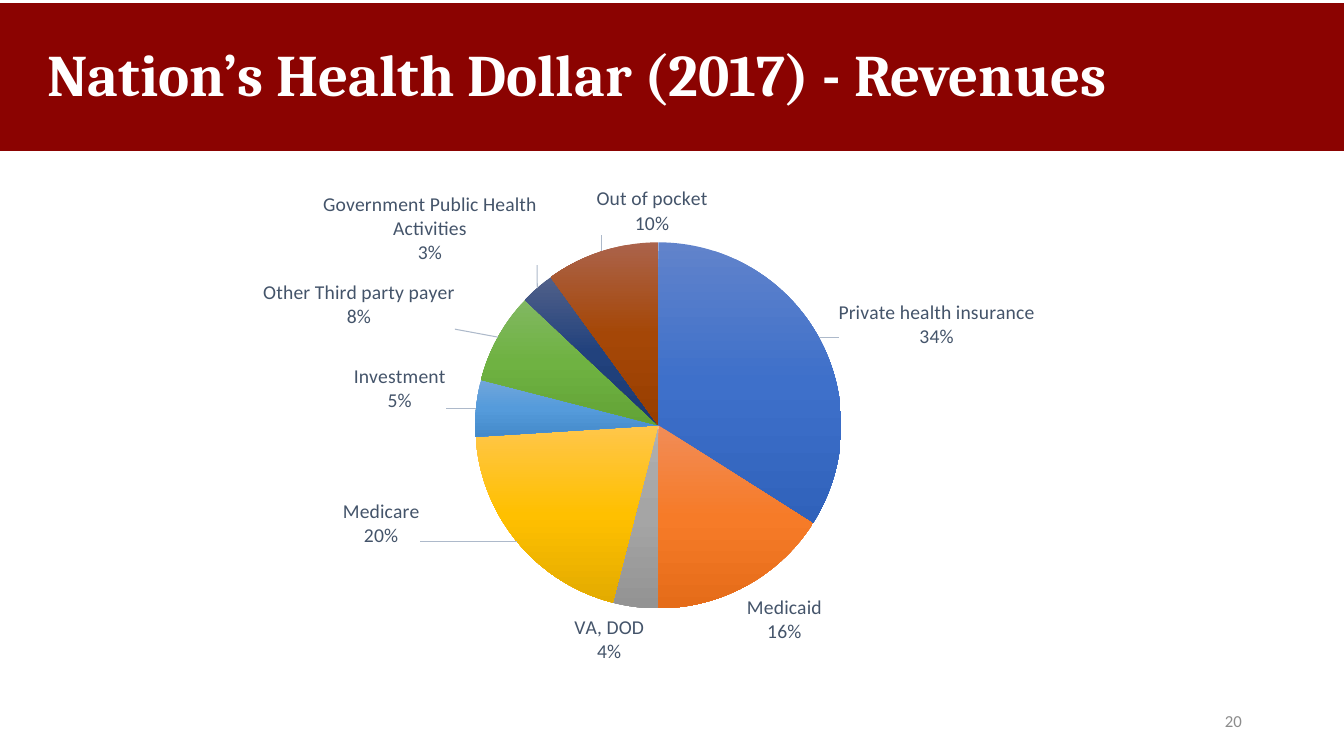
import copy

import pptx
import pptx.chart.data
import pptx.dml.color
import pptx.enum.chart
import pptx.enum.shapes
import pptx.enum.text
import pptx.oxml
import pptx.oxml.ns
import pptx.util
from pptx.util import Cm

# Payer, share, gradient from top to bottom, label shift as a fraction of the chart
SLICES = [
    ("Private health insurance", 34, ("6183CB", "3E70CA", "3062BB"), (0.012, 0.026)),
    ("Medicaid", 16, ("F18C57", "F67B28", "E56C19"), (-0.002, 0.008)),
    ("VA, DOD", 4, ("AFAFAF", "A5A5A5", "939393"), (0.008, 0.005)),
    ("Medicare", 20, ("FFC64B", "FFC000", "E3AB00"), (-0.076, -0.081)),
    ("Investment", 5, ("71A6DB", "559BDB", "448ACA"), (-0.02, 0.009)),
    ("Other Third party payer", 8, ("81B861", "6FB242", "62A336"), (-0.031, -0.009)),
    ("Government Public Health Activities", 3, ("516089", "22427D", "1A3A72"), (0.003, -0.032)),
    ("Out of pocket", 10, ("AB634B", "A54707", "983E00"), (0.088, -0.018)),
]
PLOT = {"x": 0.258, "y": 0.169, "w": 0.462, "h": 0.637}


def rgb(hex_color):
    return pptx.dml.color.RGBColor.from_string(hex_color)


def chart_xml(tag, content):
    ns = pptx.oxml.ns.nsdecls("c", "a")
    return pptx.oxml.parse_xml(f"<c:{tag} {ns}>{content}</c:{tag}>")


def style_font(font, name, size, color, bold=False):
    font.name = name
    font.size = pptx.util.Pt(size)
    font.color.rgb = rgb(color)
    font.bold = bold


def place(sp, left, top, width, height):
    sp.left, sp.top, sp.width, sp.height = Cm(left), Cm(top), Cm(width), Cm(height)


def write(sp, text, align, *font):
    tf = sp.text_frame
    tf.word_wrap = True
    tf.vertical_anchor = pptx.enum.text.MSO_ANCHOR.MIDDLE
    p = tf.paragraphs[0]
    p.alignment = align
    r = p.add_run()
    r.text = text
    style_font(r.font, *font)
    return p


def add_band(s, left, top, width, height, color):
    sp = s.shapes.add_shape(pptx.enum.shapes.MSO_SHAPE.RECTANGLE,
                            Cm(left), Cm(top), Cm(width), Cm(height))
    sp.shadow.inherit = False
    sp.fill.solid()
    sp.fill.fore_color.rgb = rgb(color)
    sp.line.color.rgb = rgb(color)
    sp.line.width = pptx.util.Pt(1)
    s.shapes._spTree.insert(2, sp._element)  # behind the title


def fill_slice(point, colors):
    fill = point.format.fill
    fill.gradient()
    fill.gradient_angle = 270
    last = point.format._element.xpath("c:spPr/a:gradFill/a:gsLst/a:gs")[-1] \
        if hasattr(point.format, "_element") else fill.gradient_stops[1]._gs
    last.addnext(copy.deepcopy(last))
    for stop, position, color in zip(fill.gradient_stops, (0, 0.5, 1), colors):
        stop.position = position
        stop.color.rgb = rgb(color)
    point.format.line.fill.background()


def set_label_content(labels):
    """Show category and percentage on two lines."""
    for name in ("showVal", "showCatName", "showPercent"):
        for flag in labels.xpath(f"c:{name}"):
            flag.set("val", "0" if name == "showVal" else "1")
    labels.xpath("c:showBubbleSize")[0].addnext(chart_xml("separator", "\n"))


def manual_layout(values, target=""):
    content = target + "".join(f'<c:{k} val="{v}"/>' for k, v in values.items())
    return chart_xml("layout", f"<c:manualLayout>{content}</c:manualLayout>")


def label_slices(series):
    for i in range(len(SLICES)):
        label = series.points[i].data_label
        style_font(label.font, "Calibri", 14, "44546A")
        label.position = pptx.enum.chart.XL_LABEL_POSITION.OUTSIDE_END
    labels = series.data_labels
    style_font(labels.font, "Calibri", 14, "44546A")
    labels.number_format = "0%"
    labels.number_format_is_linked = False
    root = series._element.xpath("c:dLbls")[0]
    for dlbl, (_, _, _, (dx, dy)) in zip(root.xpath("c:dLbl"), SLICES):
        layout = manual_layout({"x": dx, "y": dy})
        dlbl.xpath("c:idx")[0].addnext(layout)
        layout.addnext(copy.deepcopy(root.xpath("c:numFmt")[0]))
        set_label_content(dlbl)
    set_label_content(root)
    # Leader lines
    for old in root.xpath("c:showLeaderLines"):
        root.remove(old)
    show = chart_xml("showLeaderLines", "")
    show.set("val", "1")
    root.append(show)
    root.append(chart_xml(
        "leaderLines", '<c:spPr><a:ln w="9525"><a:solidFill><a:srgbClr val="ADB9CA"/>'
        "</a:solidFill></a:ln></c:spPr>"))


def add_pie(s, left, top, width, height):
    data = pptx.chart.data.CategoryChartData()
    data.categories = [name for name, *_ in SLICES]
    data.add_series("Series 1", [share for _, share, *_ in SLICES])
    chart = s.shapes.add_chart(pptx.enum.chart.XL_CHART_TYPE.PIE, Cm(left), Cm(top),
                               Cm(width), Cm(height), data).chart
    chart.has_title = False
    chart.has_legend = False
    style_font(chart.font, "Calibri", 10, "000000")
    plot = chart.plots[0]
    plot.vary_by_categories = True
    series = plot.series[0]
    for i, (_, _, colors, _) in enumerate(SLICES):
        fill_slice(series.points[i], colors)
    label_slices(series)
    # Fixed position of the pie
    area = chart._chartSpace.xpath("c:chart/c:plotArea")[0]
    for old in area.xpath("c:layout"):
        area.remove(old)
    modes = '<c:layoutTarget val="inner"/><c:xMode val="edge"/><c:yMode val="edge"/>'
    area.insert(0, manual_layout(PLOT, modes))


def main():
    prs = pptx.Presentation()
    prs.slide_width, prs.slide_height = Cm(33.87), Cm(19.05)
    s = prs.slides.add_slide(prs.slide_layouts[5])
    align = pptx.enum.text.PP_ALIGN

    # Title on its band
    add_band(s, 0, 0.1, 33.87, 3.68, "8B0301")
    title = s.shapes.title
    place(title, 0.94, 0.1, 31.27, 3.68)
    p = write(title, "Nation’s Health Dollar (2017) - Revenues", align.LEFT,
              "Cambria", 42, "FFFFFF", True)
    p.line_spacing = 0.9

    # Revenue shares
    add_pie(s, 1.5, 3.66, 30.86, 14.48)

    # Page number
    number = s.shapes.add_textbox(Cm(23.93), Cm(17.65), Cm(7.62), Cm(1.02))
    write(number, "20", align.RIGHT, "Calibri", 12, "8C8C8C")

    prs.save("out.pptx")


if __name__ == "__main__":
    main()
